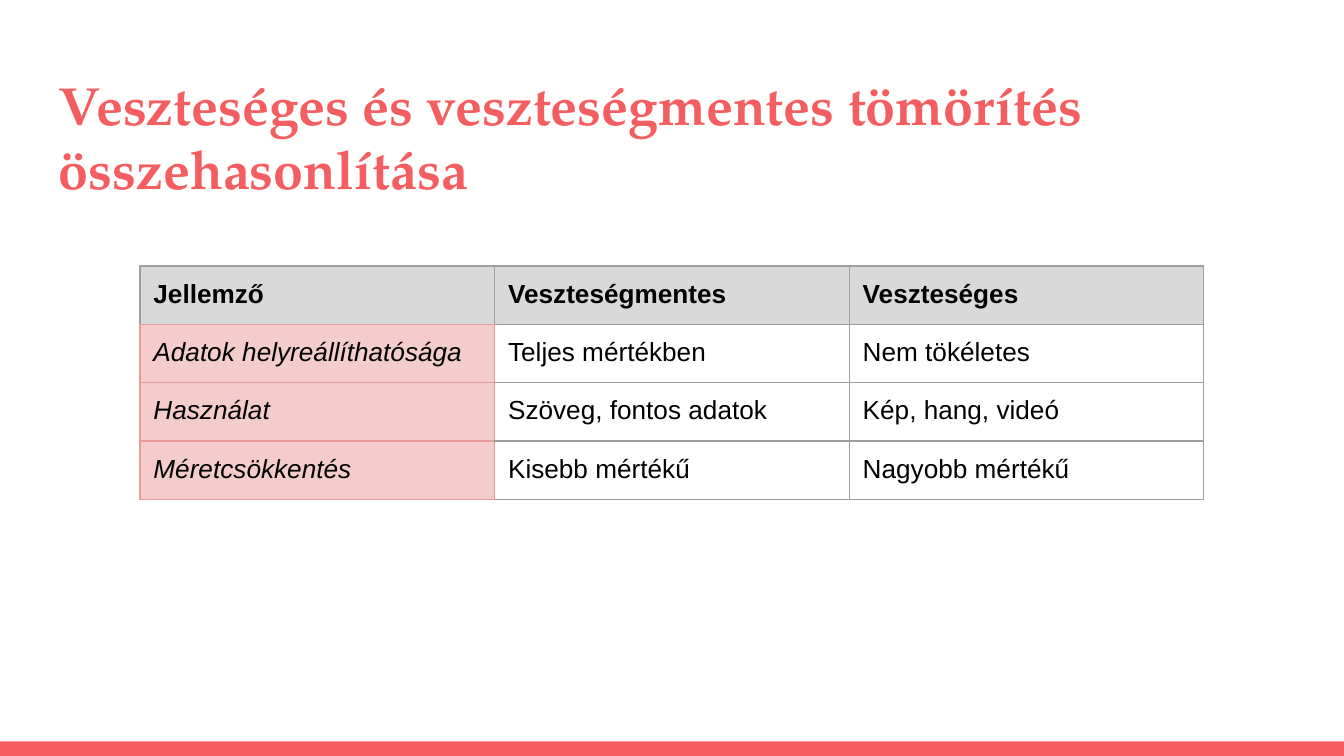
from pptx import Presentation
from pptx.util import Pt
from pptx.dml.color import RGBColor
from pptx.enum.shapes import MSO_SHAPE as SHAPE
from pptx.enum.text import MSO_ANCHOR as ANCHOR
from pptx.oxml import parse_xml
from pptx.oxml.ns import nsdecls


def rgb(h):
    return RGBColor.from_string(h)


def write(tf, text, color, **fmt):
    tf.word_wrap = True
    tf.vertical_anchor = ANCHOR.TOP
    r = tf.paragraphs[0].add_run()
    r.text = text
    r.font.color.rgb = rgb(color)
    for k, v in fmt.items():
        setattr(r.font, k, v)


prs = Presentation()
prs.slide_width, prs.slide_height = Pt(720), Pt(405)
s = prs.slides.add_slide(prs.slide_layouts[6])

bar = s.shapes.add_shape(SHAPE.RECTANGLE, 0, Pt(397.2), Pt(720), Pt(7.8))
bar.shadow.inherit = False
bar.fill.solid()
bar.fill.fore_color.rgb = rgb("F55E61")
bar.line.fill.background()

sp = s.shapes.add_textbox(Pt(24.5), Pt(31), Pt(671), Pt(74))
tf = sp.text_frame
for side in ("left", "top", "right", "bottom"):
    setattr(tf, f"margin_{side}", Pt(7.2))
write(tf, "Veszteséges és veszteségmentes tömörítés összehasonlítása", "F55E61",
      name="TeX Gyre Pagella", size=Pt(28.8), bold=True)

rows = [
    ["Jellemző", "Veszteségmentes", "Veszteséges"],
    ["Adatok helyreállíthatósága", "Teljes mértékben", "Nem tökéletes"],
    ["Használat", "Szöveg, fontos adatok", "Kép, hang, videó"],
    ["Méretcsökkentés", "Kisebb mértékű", "Nagyobb mértékű"],
]
GRAY, PINK = "9E9E9E", "EA9999"
tbl = s.shapes.add_table(4, 3, Pt(75), Pt(142.5), Pt(570), Pt(120)).table
tbl.first_row = tbl.horz_banding = False

for i, row in enumerate(rows):
    for j, text in enumerate(row):
        cell = tbl.cell(i, j)
        head, label = i == 0, i > 0 and j == 0
        for side in ("left", "top", "right", "bottom"):
            setattr(cell, f"margin_{side}", Pt(7.2))
        cell.vertical_anchor = ANCHOR.TOP
        write(cell.text_frame, text, "000000", name="Arial", size=Pt(14),
              bold=head, italic=label)

        edges = dict.fromkeys("LRTB", PINK if label else GRAY)
        if head and j == 0:
            edges["B"] = PINK
        if i > 0 and j == 1:
            edges["L"] = PINK
        tcPr = cell._tc.get_or_add_tcPr()
        for edge, color in edges.items():
            tcPr.append(parse_xml(
                f'<a:ln{edge} {nsdecls("a")} w="9525"><a:solidFill>'
                f'<a:srgbClr val="{color}"/></a:solidFill></a:ln{edge}>'))

        if head or label:
            cell.fill.solid()
            cell.fill.fore_color.rgb = rgb("D9D9D9" if head else "F4CCCC")
        else:
            cell.fill.background()

prs.save("out.pptx")
